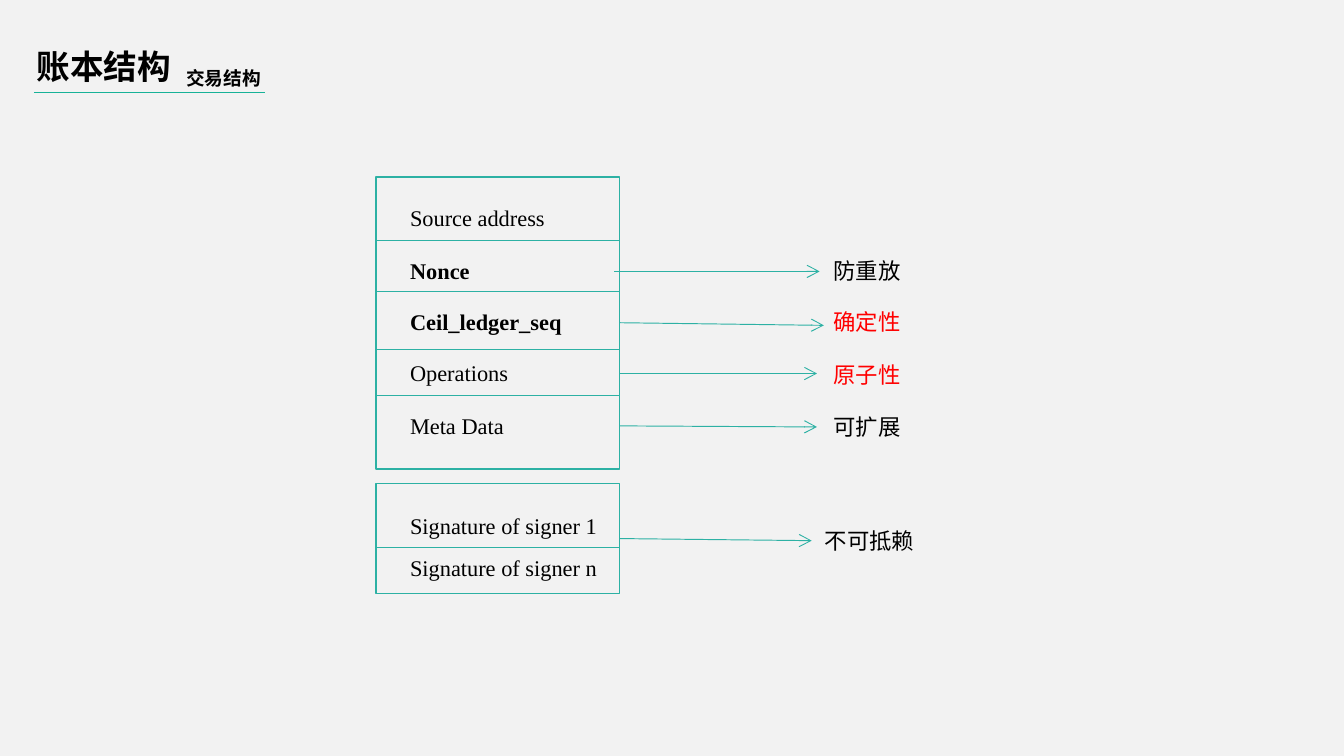
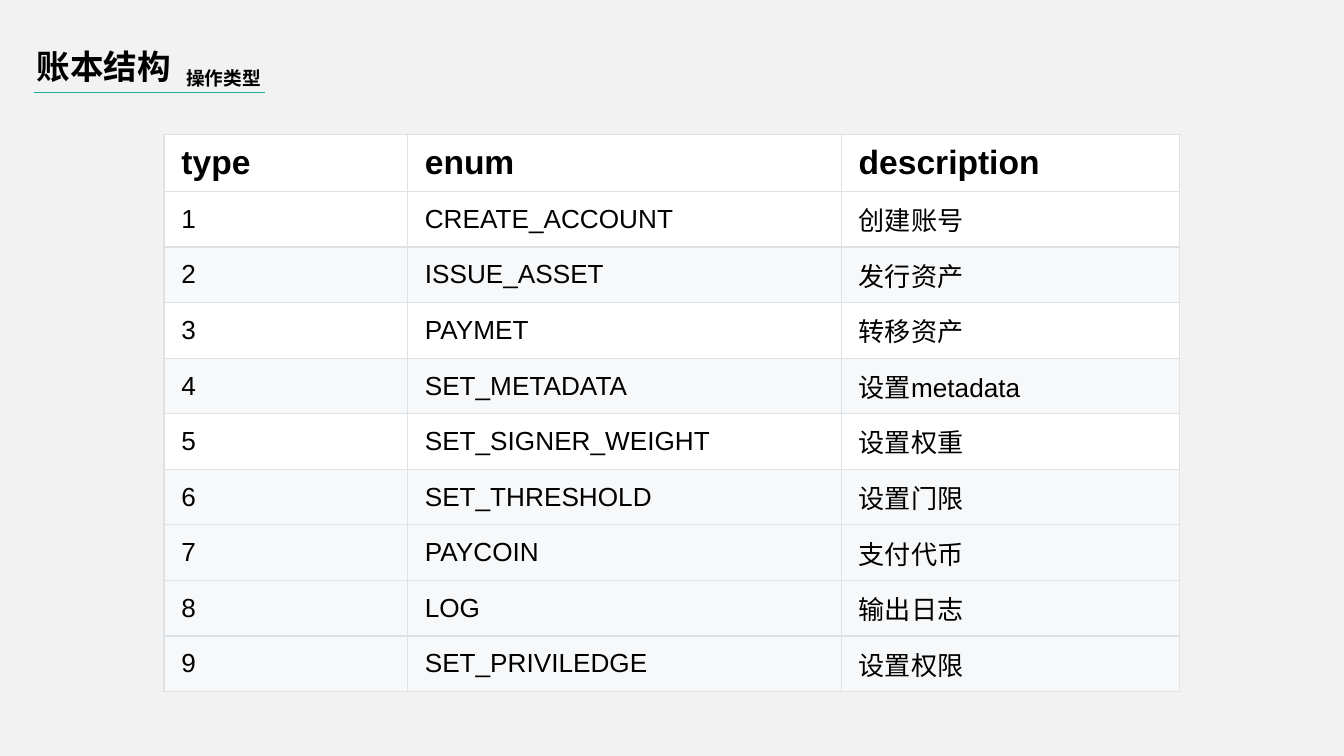
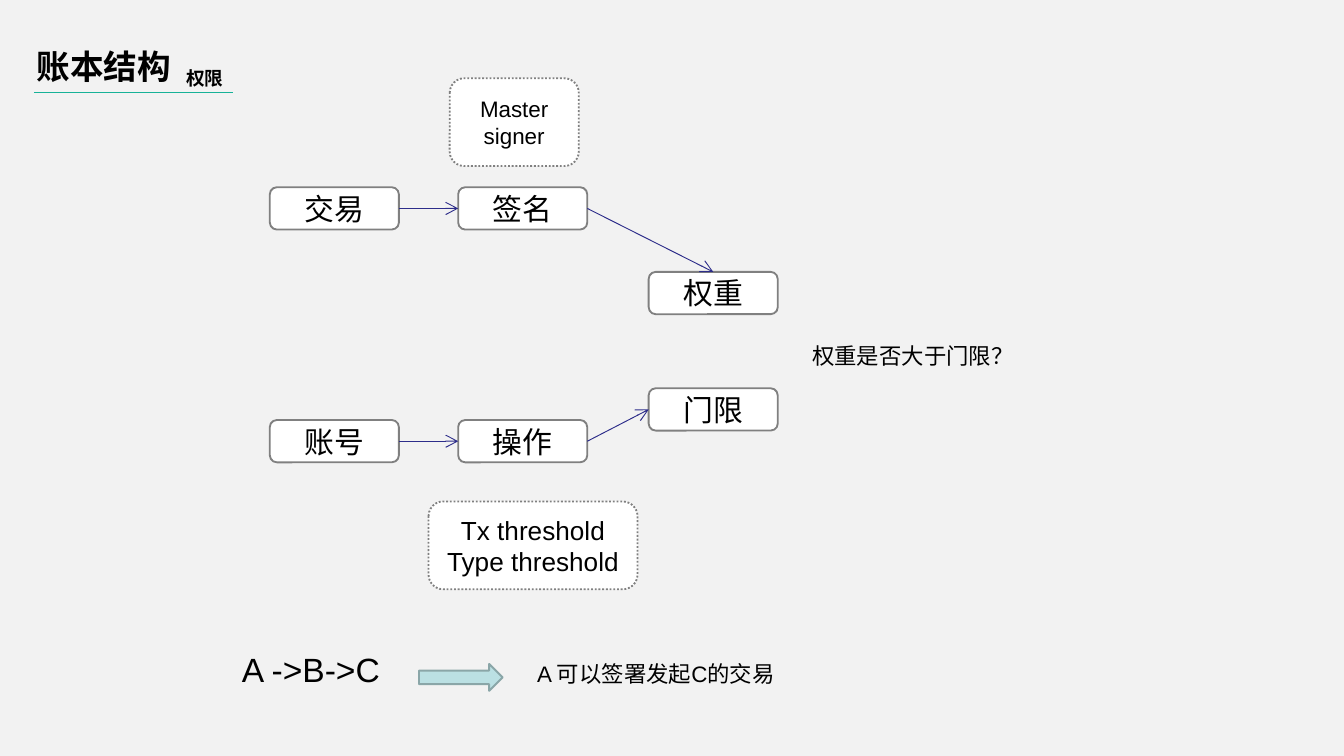
from pptx import Presentation
from pptx.dml.color import RGBColor
from pptx.enum.dml import MSO_LINE
from pptx.enum.shapes import MSO_CONNECTOR, MSO_SHAPE as Shape
from pptx.enum.text import MSO_ANCHOR as Anchor, MSO_AUTO_SIZE as AutoSize, PP_ALIGN as Align
from pptx.oxml.ns import qn
from pptx.util import Cm, Pt
from lxml.etree import SubElement

BACKGROUND, BLACK, WHITE, RED = "F2F2F2", "000000", "FFFFFF", "FF0000"
UNDERLINE, TEAL, NAVY, GRAY = "17B298", "2DB1A4", "2D2D8A", "808080"
BAND, GRID = "F6F8FA", "DFE2E5"
HEADING_FONT, BODY_FONT, FIELD_FONT = "Noto Sans CJK SC", "Arial", "Times New Roman"
TITLE = "账本结构"
RIGHT_SIDE, LEFT_SIDE, TOP_SIDE = 3, 1, 0

# Slide 1: fields as (text, top, bold), meanings as (text, left, top, colour)
BLOCK_LEFT, BLOCK_WIDTH, FIELD_LEFT = 7.11, 4.6, 7.5
BLOCK_RIGHT = BLOCK_LEFT + BLOCK_WIDTH
BLOCKS = [(3.35, 5.51), (9.14, 2.08)]
DIVIDERS = [4.55, 5.51, 6.6, 7.47, 10.34]
FIELDS = [
    ("Source address", 3.74, False),
    ("Nonce", 4.74, True),
    ("Ceil_ledger_seq", 5.7, True),
    ("Operations", 6.66, False),
    ("Meta Data", 7.67, False),
    ("Signature of signer 1", 9.55, False),
    ("Signature of signer n", 10.35, False),
]
MEANINGS = [
    ("防重放", 15.5, 4.74, BLACK),
    ("确定性", 15.5, 5.7, RED),
    ("原子性", 15.5, 6.71, RED),
    ("可扩展", 15.5, 7.68, BLACK),
    ("不可抵赖", 15.34, 9.84, BLACK),
]
FIELD_ARROWS = [
    ((11.61, 5.13), (15.49, 5.13)),
    ((BLOCK_RIGHT, 6.1), (15.57, 6.15)),
    ((BLOCK_RIGHT, 7.06), (15.44, 7.06)),
    ((BLOCK_RIGHT, 8.05), (15.44, 8.07)),
]
SIGNATURE_ARROW = ((BLOCK_RIGHT, 10.18), (15.34, 10.22))

# Slide 2
OPERATIONS = [
    ("type", "enum", "description"),
    ("1", "CREATE_ACCOUNT", "创建账号"),
    ("2", "ISSUE_ASSET", "发行资产"),
    ("3", "PAYMET", "转移资产"),
    ("4", "SET_METADATA", "设置metadata"),
    ("5", "SET_SIGNER_WEIGHT", "设置权重"),
    ("6", "SET_THRESHOLD", "设置门限"),
    ("7", "PAYCOIN", "支付代币"),
    ("8", "LOG", "输出日志"),
    ("9", "SET_PRIVILEDGE", "设置权限"),
]
COLUMN_WIDTHS, HEADER_HEIGHT, ROW_HEIGHT = [4.6, 8.2, 6.4], 1.08, 1.05
WHITE_ROWS = {0, 1, 3, 5}

# Slide 3
NODE_SIZE = (2.44, 0.8)
NODES = {
    "交易": (5.1, 3.54),
    "签名": (8.66, 3.54),
    "权重": (12.26, 5.14),
    "门限": (12.26, 7.34),
    "账号": (5.1, 7.94),
    "操作": (8.66, 7.94),
}
LINKS = [
    ("交易", "签名", LEFT_SIDE),
    ("账号", "操作", LEFT_SIDE),
    ("签名", "权重", TOP_SIDE),
    ("操作", "门限", LEFT_SIDE),
]
DOTTED_NOTES = [
    ("Master\nsigner", (8.5, 1.48, 2.44, 1.66), 12),
    ("Tx threshold\nType threshold", (8.1, 9.48, 3.95, 1.66), 14),
]
REMARKS = [
    ("权重是否大于门限？", (15.1, 6.35, 4.8, 0.76), 12),
    ("A ->B->C", (4.32, 12.14, 3.58, 1.02), 18),
    ("A 可以签署发起C的交易", (9.9, 12.35, 5.21, 0.76), 12),
]


def color(hex_text):
    return RGBColor.from_string(hex_text)


def place(shape, box):
    shape.left, shape.top, shape.width, shape.height = map(Cm, box)


def write(frame, text, size, font=BODY_FONT, ink=BLACK, bold=False, align=Align.LEFT):
    frame.text = text
    frame.word_wrap = True
    for paragraph in frame.paragraphs:
        paragraph.alignment = align
        paragraph.font.name = font
        paragraph.font.size = Pt(size)
        paragraph.font.bold = bold
        paragraph.font.color.rgb = color(ink)
        if font == HEADING_FONT:
            defaults = paragraph._p.pPr.find(qn("a:defRPr"))
            SubElement(defaults, qn("a:ea"), typeface=font)


def add_label(slide, text, box, size, **style):
    label = slide.shapes.add_textbox(*map(Cm, box))
    write(label.text_frame, text, size, **style)
    return label


def add_figure(slide, kind, box, line, fill=None):
    figure = slide.shapes.add_shape(kind, *map(Cm, box))
    figure.shadow.inherit = False
    figure.line.color.rgb = color(line)
    figure.line.width = Pt(1)
    if fill:
        figure.fill.solid()
        figure.fill.fore_color.rgb = color(fill)
    else:
        figure.fill.background()
    return figure


def add_rounded(slide, text, box, size):
    rounded = add_figure(slide, Shape.ROUNDED_RECTANGLE, box, GRAY, WHITE)
    rounded.text_frame.vertical_anchor = Anchor.MIDDLE
    write(rounded.text_frame, text, size, align=Align.CENTER)
    return rounded


def add_line(slide, start, end, ink, arrow=False):
    line = slide.shapes.add_connector(MSO_CONNECTOR.STRAIGHT, *map(Cm, start + end))
    line.line.color.rgb = color(ink)
    line.line.width = Pt(0.5)
    if arrow:
        SubElement(line.line._get_or_add_ln(), qn("a:tailEnd"), type="arrow")
    SubElement(line._element.spPr, qn("a:effectLst"))
    return line


def add_titled_slide(presentation, subtitle, underline_end):
    slide = presentation.slides.add_slide(presentation.slide_layouts[5])
    add_line(slide, (0.64, 1.74), (underline_end, 1.74), UNDERLINE)
    title = slide.shapes.title
    place(title, (0.69, 0.74, 3.63, 1.02))
    write(title.text_frame, TITLE, 18, font=HEADING_FONT, bold=True)
    label = add_label(slide, subtitle, (3.52, 1.14, 1.78, 0.69), 10,
                      font=HEADING_FONT, bold=True)
    for frame in (title.text_frame, label.text_frame):
        frame.margin_left = 0
        frame.vertical_anchor = Anchor.TOP
        frame.auto_size = AutoSize.NONE
    return slide


def add_transaction_slide(presentation):
    slide = add_titled_slide(presentation, "交易结构", 5)
    blocks = [add_figure(slide, Shape.RECTANGLE, (BLOCK_LEFT, top, BLOCK_WIDTH, height), TEAL)
              for top, height in BLOCKS]
    for y in DIVIDERS:
        add_line(slide, (BLOCK_LEFT, y), (BLOCK_RIGHT, y), TEAL)
    for text, top, bold in FIELDS:
        add_label(slide, text, (FIELD_LEFT, top, 4.22, 0.76), 12, font=FIELD_FONT, bold=bold)
    for text, left, top, ink in MEANINGS:
        add_label(slide, text, (left, top, 2.77, 0.76), 12, ink=ink)
    for start, end in FIELD_ARROWS:
        add_line(slide, start, end, TEAL, arrow=True)
    signature_arrow = add_line(slide, *SIGNATURE_ARROW, TEAL, arrow=True)
    signature_arrow.begin_connect(blocks[1], RIGHT_SIDE)


def format_cell(cell, fill):
    cell.margin_left = cell.margin_right = Cm(0.33)
    cell.margin_top = cell.margin_bottom = Cm(0.15)
    cell.vertical_anchor = Anchor.MIDDLE
    properties = cell._tc.get_or_add_tcPr()
    for side in ("a:lnL", "a:lnR", "a:lnT", "a:lnB"):
        border = SubElement(properties, qn(side), w=str(Pt(0.75)))
        SubElement(SubElement(border, qn("a:solidFill")), qn("a:srgbClr"), val=GRID)
    cell.fill.solid()
    cell.fill.fore_color.rgb = color(fill)


def add_operations_slide(presentation):
    slide = add_titled_slide(presentation, "操作类型", 5)
    rows, columns = len(OPERATIONS), len(COLUMN_WIDTHS)
    box = (3.1, 2.54, sum(COLUMN_WIDTHS), rows * ROW_HEIGHT)
    table = slide.shapes.add_table(rows, columns, *map(Cm, box)).table
    table.first_row = table.horz_banding = False
    for column, width in zip(table.columns, COLUMN_WIDTHS):
        column.width = Cm(width)
    for index, (row, values) in enumerate(zip(table.rows, OPERATIONS)):
        header = index == 0
        row.height = Cm(HEADER_HEIGHT if header else ROW_HEIGHT)
        for cell, text in zip(row.cells, values):
            format_cell(cell, WHITE if index in WHITE_ROWS else BAND)
            write(cell.text_frame, text, 18 if header else 14, bold=header)


def add_permission_slide(presentation):
    slide = add_titled_slide(presentation, "权限", 4.4)
    nodes = {text: add_rounded(slide, text, corner + NODE_SIZE, 16)
             for text, corner in NODES.items()}
    for source, target, side in LINKS:
        link = add_line(slide, (0, 0), (0, 0), NAVY, arrow=True)
        link.begin_connect(nodes[source], RIGHT_SIDE)
        link.end_connect(nodes[target], side)
    for text, box, size in DOTTED_NOTES:
        add_rounded(slide, text, box, size).line.dash_style = MSO_LINE.ROUND_DOT
    for text, box, size in REMARKS:
        add_label(slide, text, box, size)
    add_figure(slide, Shape.RIGHT_ARROW, (7.92, 12.55, 1.58, 0.51), "8AA6A8", "BBE0E3")


def main():
    presentation = Presentation()
    presentation.slide_width, presentation.slide_height = Cm(25.4), Cm(14.29)
    background = presentation.slide_master.background.fill
    background.solid()
    background.fore_color.rgb = color(BACKGROUND)
    add_transaction_slide(presentation)
    add_operations_slide(presentation)
    add_permission_slide(presentation)
    presentation.save("out.pptx")


if __name__ == "__main__":
    main()
